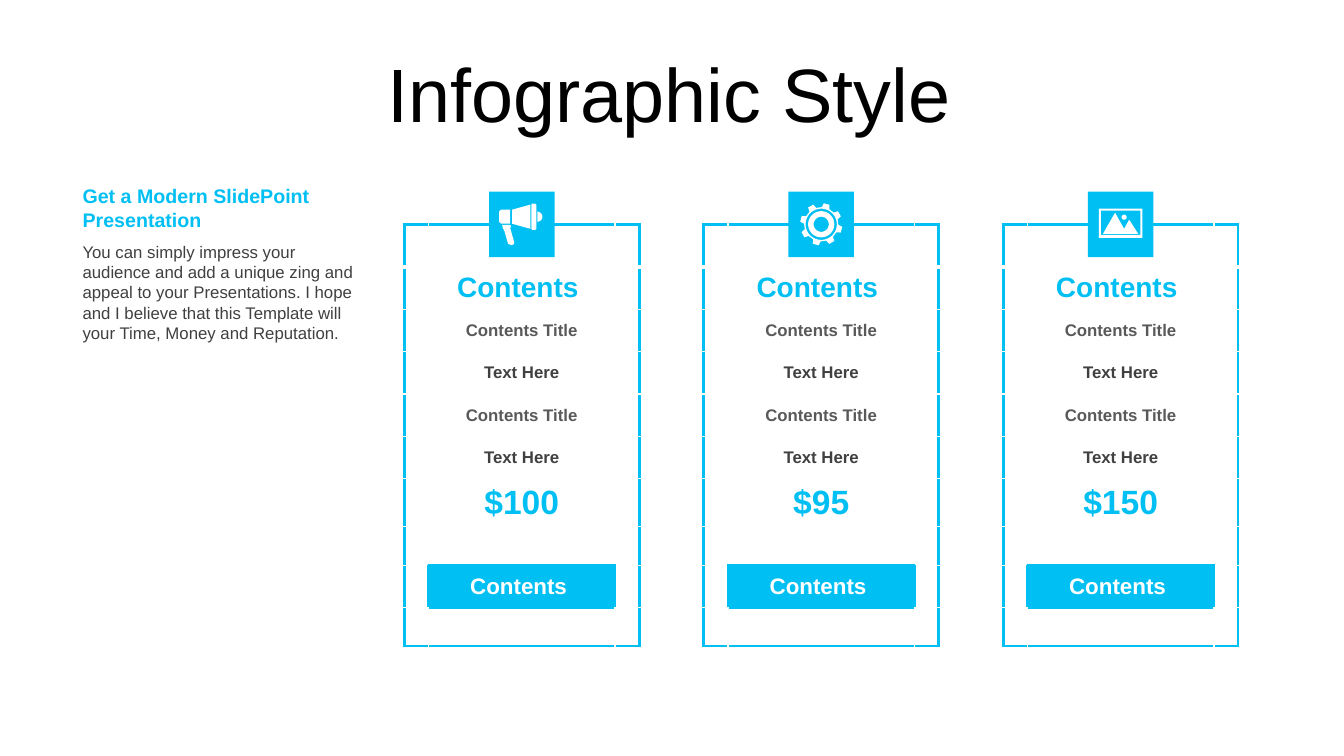
from math import cos, radians, sin

from pptx import Presentation
from pptx.dml.color import RGBColor
from pptx.enum.shapes import MSO_SHAPE as SHAPE
from pptx.enum.text import MSO_ANCHOR as ANCHOR, PP_ALIGN as ALIGN
from pptx.oxml import parse_xml
from pptx.oxml.ns import nsdecls
from pptx.util import Inches, Pt

CYAN = RGBColor(0x00, 0xBF, 0xF3)
WHITE = RGBColor(0xFF, 0xFF, 0xFF)
BLACK = RGBColor(0x00, 0x00, 0x00)
DARK = RGBColor(0x40, 0x40, 0x40)
GRAY = RGBColor(0x59, 0x59, 0x59)

CARD_LEFT, CARD_TOP, CARD_PITCH = 4.01, 2.23, 2.97
COL_WIDTHS = [0.24, 1.85, 0.24]
ROW_HEIGHTS = [0.42] * 6 + [0.47, 0.39, 0.42, 0.38]
BUTTON = (8, 1)
BADGE_SIZE = 0.65
BADGE_TOP = 1.9
UNITS = 100  # freeform steps in a hundredth of an inch


def write(tf, text, align=ALIGN.LEFT, **font):
    tf.word_wrap = True
    p = tf.paragraphs[0]
    p.alignment = align
    r = p.add_run()
    r.text = text
    r.font.name = "Arial"
    r.font.color.rgb = font.pop("color")
    for name, value in font.items():
        setattr(r.font, name, value)
    return p


def add_title(s, text):
    sp = s.shapes.title
    sp.left, sp.top, sp.width, sp.height = map(Inches, (0.21, 0.5, 12.85, 0.79))
    tf = sp.text_frame
    tf.vertical_anchor = ANCHOR.MIDDLE
    tf.margin_top = Inches(0.2)
    p = write(tf, text, ALIGN.CENTER, size=Pt(54), color=BLACK)
    p.line_spacing = 0.9


def add_text(s, top, height, text, **font):
    sp = s.shapes.add_textbox(*map(Inches, (0.72, top, 2.99, height)))
    write(sp.text_frame, text, **font)


def set_borders(cell, row, col):
    """Blue on the card's outside and around the button, white elsewhere."""
    neighbours = {"L": (row, col - 1), "R": (row, col + 1),
                  "T": (row - 1, col), "B": (row + 1, col)}
    for side, (r, c) in neighbours.items():
        outside = not (0 <= r < len(ROW_HEIGHTS) and 0 <= c < len(COL_WIDTHS))
        if outside or BUTTON in ((row, col), (r, c)):
            color, width = CYAN, 2.25
        else:
            color, width = WHITE, 3 if (row, side) == (0, "B") else 1
        cell._tc.get_or_add_tcPr().append(parse_xml(
            f'<a:ln{side} {nsdecls("a")} w="{Pt(width)}"><a:solidFill>'
            f'<a:srgbClr val="{color}"/></a:solidFill></a:ln{side}>'))


def add_card(s, left, price):
    table = s.shapes.add_table(
        len(ROW_HEIGHTS), len(COL_WIDTHS), Inches(left), Inches(CARD_TOP),
        Inches(sum(COL_WIDTHS)), Inches(sum(ROW_HEIGHTS))).table
    table.first_row = table.horz_banding = False
    for column, width in zip(table.columns, COL_WIDTHS):
        column.width = Inches(width)
    contents = {1: ("Contents ", 20, CYAN), 6: (price, 24, CYAN),
                8: ("Contents ", 16, WHITE)}
    for row in (2, 4):
        contents[row] = ("Contents Title", 12, GRAY)
        contents[row + 1] = ("Text Here", 12, DARK)
    for row, height in enumerate(ROW_HEIGHTS):
        table.rows[row].height = Inches(height)
        for col in range(len(COL_WIDTHS)):
            cell = table.cell(row, col)
            set_borders(cell, row, col)
            cell.fill.solid()
            cell.fill.fore_color.rgb = CYAN if (row, col) == BUTTON else WHITE
            if col == 1 and row in contents:
                text, size, color = contents[row]
                cell.vertical_anchor = ANCHOR.MIDDLE
                write(cell.text_frame, text, ALIGN.CENTER,
                      size=Pt(size), color=color, bold=True)
            else:
                cell.margin_top = cell.margin_bottom = 0


def paint(sp, color):
    sp.shadow.inherit = False
    sp.fill.solid()
    sp.fill.fore_color.rgb = color
    sp.line.fill.background()


def arc(x, y, radius, start=0, end=360):
    return [(x + radius * cos(radians(a)), y + radius * sin(radians(a)))
            for a in range(start, end + 1, 10)]


def box(left, top, right, bottom):
    return [(left, top), (right, top), (right, bottom), (left, bottom)]


def megaphone():
    handle = [(21, 33), (22, 35), (21, 36), (25, 50), (25, 52), (23, 53),
              (22, 53), (19, 52), (15, 38), (14, 37), (13, 33)]
    grip = [(12, 18), (21, 18), (21, 32), (12, 32), (10, 30), (10, 20)]
    cone = [(41, 13), (41, 37), (23, 32), (23, 18)]
    bell = [(43, 12), (46, 12), (47, 13), (47, 37),
            (46, 38), (43, 38), (42, 37), (42, 13)]
    return [handle, arc(48, 25, 5, -90, 90), grip, cone, bell]


def gear():
    center = 32.5
    teeth = [(center + radius * cos(radians(tooth + offset)),
              center + radius * sin(radians(tooth + offset)))
             for tooth in range(-75, 285, 45)
             for offset, radius in ((-13, 17), (-8, 21), (8, 21), (13, 17))]
    return [teeth] + [arc(center, center, radius) for radius in (15.5, 13, 7.5)]


def landscape():
    mountains = [(27, 21), (36, 37), (41, 28), (50, 42), (15, 42)]
    return [box(11, 17, 54, 46), box(13, 19, 52, 43),
            mountains, arc(36, 25.5, 2.5)]


def add_badge(s, left, outlines):
    """Square with an icon whose outlines are in hundredths of an inch."""
    x, y, size = map(Inches, (left, BADGE_TOP, BADGE_SIZE))
    paint(s.shapes.add_shape(SHAPE.RECTANGLE, x, y, size, size), CYAN)
    scaled = [[(px * UNITS, py * UNITS) for px, py in o] for o in outlines]
    builder = s.shapes.build_freeform(*scaled[0][0],
                                      scale=Inches(1) / (100 * UNITS))
    for i, points in enumerate(scaled):
        if i:
            builder.move_to(*points[0])
        builder.add_line_segments(points[1:], close=True)
    paint(builder.convert_to_shape(x, y), WHITE)


def main():
    prs = Presentation()
    prs.slide_width, prs.slide_height = Inches(13.33), Inches(7.5)
    s = prs.slides.add_slide(prs.slide_layouts[5])
    add_title(s, "Infographic Style")
    cards = [("$100", megaphone()), ("$95", gear()), ("$150", landscape())]
    for i, (price, icon) in enumerate(cards):
        left = CARD_LEFT + i * CARD_PITCH
        add_card(s, left, price)
        add_badge(s, left + (sum(COL_WIDTHS) - BADGE_SIZE) / 2, icon)
    add_text(s, 2.35, 1.11,
             "You can simply impress your audience and add a unique zing and "
             "appeal to your Presentations. I hope and I believe that this "
             "Template will your Time, Money and Reputation.",
             size=Pt(12), color=DARK)
    add_text(s, 1.78, 0.57, "Get a Modern SlidePoint Presentation",
             size=Pt(14), color=CYAN, bold=True)
    prs.save("out.pptx")


if __name__ == "__main__":
    main()
